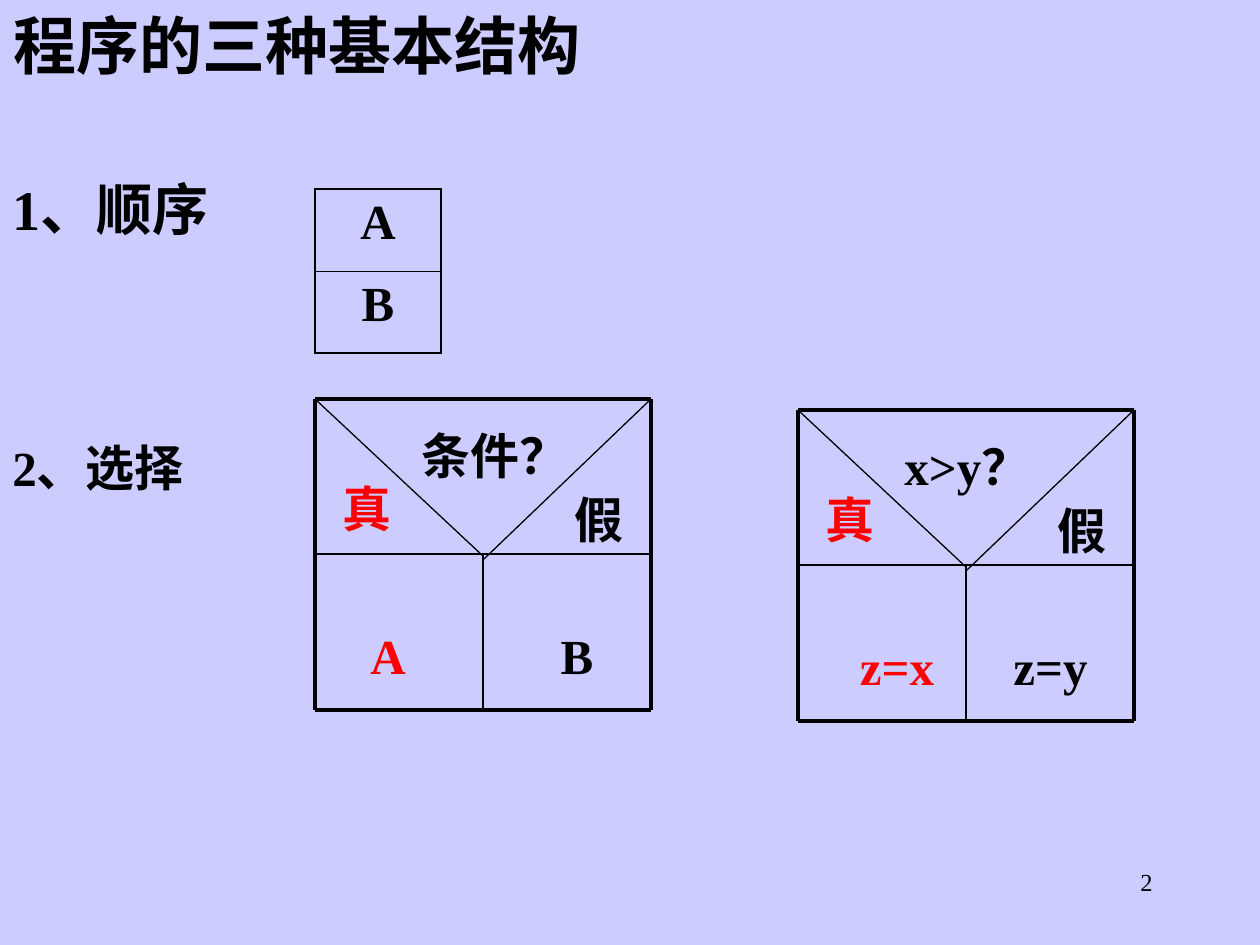
from lxml.etree import SubElement
from pptx import Presentation
from pptx.dml.color import RGBColor
from pptx.enum.shapes import MSO_CONNECTOR
from pptx.enum.text import MSO_ANCHOR, MSO_AUTO_SIZE, PP_ALIGN
from pptx.oxml.ns import qn
from pptx.util import Emu, Pt

BLACK, RED, LAVENDER = "000000", "FF0000", "CCCCFF"
LEFT, CENTER, RIGHT = PP_ALIGN.LEFT, PP_ALIGN.CENTER, PP_ALIGN.RIGHT


def px(length):
    """Turn pixels, 126 to the inch, into EMU."""
    return Emu(round(length * 914400 / 126))


def write(frame, text, size, color=BLACK, align=LEFT, bold=True):
    frame.text = text
    para = frame.paragraphs[0]
    para.alignment = align
    font = para.runs[0].font
    font.name = "Times New Roman"
    font.size = Pt(size)
    font.bold = bold
    font.color.rgb = RGBColor.from_string(color)


deck = Presentation()
deck.slide_width, deck.slide_height = px(1260), px(945)
page = deck.slides.add_slide(deck.slide_layouts[5])
page.background.fill.solid()
page.background.fill.fore_color.rgb = RGBColor.from_string(LAVENDER)

# Title: no right margin, so that it stays on one line
title = page.shapes.title
title.left, title.top, title.width, title.height = px(1), px(0), px(592), px(88)
write(title.text_frame, "程序的三种基本结构", 36)
title.text_frame.vertical_anchor = MSO_ANCHOR.TOP
title.text_frame.auto_size = MSO_AUTO_SIZE.NONE
title.text_frame.margin_right = 0

# Sequence: two stacked steps
table_frame = page.shapes.add_table(2, 1, px(315), px(189), px(126), px(164))
steps = table_frame.table
steps.first_row = steps.horz_banding = False
outer, inner = Pt(1.08), Pt(0.45)
for row, (step, top, bottom) in enumerate([("A", outer, inner), ("B", inner, outer)]):
    steps.rows[row].height = px(82)
    cell = steps.cell(row, 0)
    write(cell.text_frame, step, 28, align=CENTER)
    properties = cell._tc.get_or_add_tcPr()
    for side, weight in (("L", outer), ("R", outer), ("T", top), ("B", bottom)):
        border = SubElement(properties, qn(f"a:ln{side}"), w=str(int(weight)))
        fill = SubElement(border, qn("a:solidFill"))
        SubElement(fill, qn("a:srgbClr"), val=BLACK)
    cell.fill.background()

# Selection: a condition above its two branches, in general and as an example
labels = [
    ("1、顺序", 0, 168, 262, 81, 32, BLACK, LEFT, True),
    ("2、选择", 0, 431, 220, 72, 28, BLACK, LEFT, True),
    ("2", 903, 861, 262, 63, 14, BLACK, RIGHT, False),
]
width, middle = 336, 168
height, divide = 311, 155
diagram_lines = [
    (0, 0, width, 0, 2.25),
    (0, divide, width, divide, 1),
    (0, height, width, height, 2.25),
    (0, 0, 0, height, 2.25),
    (width, 0, width, height, 2.25),
    (middle, divide, middle, height, 1),
    (width, 0, middle, 161, 0.75),
    (0, 0, middle, 157, 0.75),
]
selections = [
    (315, 399, "条件？", ("A", 31, 84), ("B", 220, 84)),
    (798, 410, "x>y？", ("z=x", 31, 136), ("z=y", 200, 105)),
]
for left, top, condition, true_branch, false_branch in selections:
    for x1, y1, x2, y2, weight in diagram_lines:
        line = page.shapes.add_connector(
            MSO_CONNECTOR.STRAIGHT,
            px(left + x1), px(top + y1), px(left + x2), px(top + y2))
        line.line.width = Pt(weight)
        line.line.color.rgb = RGBColor.from_string(BLACK)
        SubElement(line._element.spPr, qn("a:effectLst"))
    for text, x, y, box_width, color, align in [
        (condition, 94, 20, 218, BLACK, LEFT),
        ("真", 10, 73, 84, RED, CENTER),
        ("假", 242, 84, 84, BLACK, CENTER),
        (true_branch[0], true_branch[1], 220, true_branch[2], RED, CENTER),
        (false_branch[0], false_branch[1], 220, false_branch[2], BLACK, CENTER),
    ]:
        labels.append((text, left + x, top + y, box_width, 72, 28, color, align, True))

for text, x, y, box_width, box_height, size, color, align, bold in labels:
    box = page.shapes.add_textbox(px(x), px(y), px(box_width), px(box_height))
    box.text_frame.word_wrap = True
    write(box.text_frame, text, size, color, align, bold)

deck.save("out.pptx")
